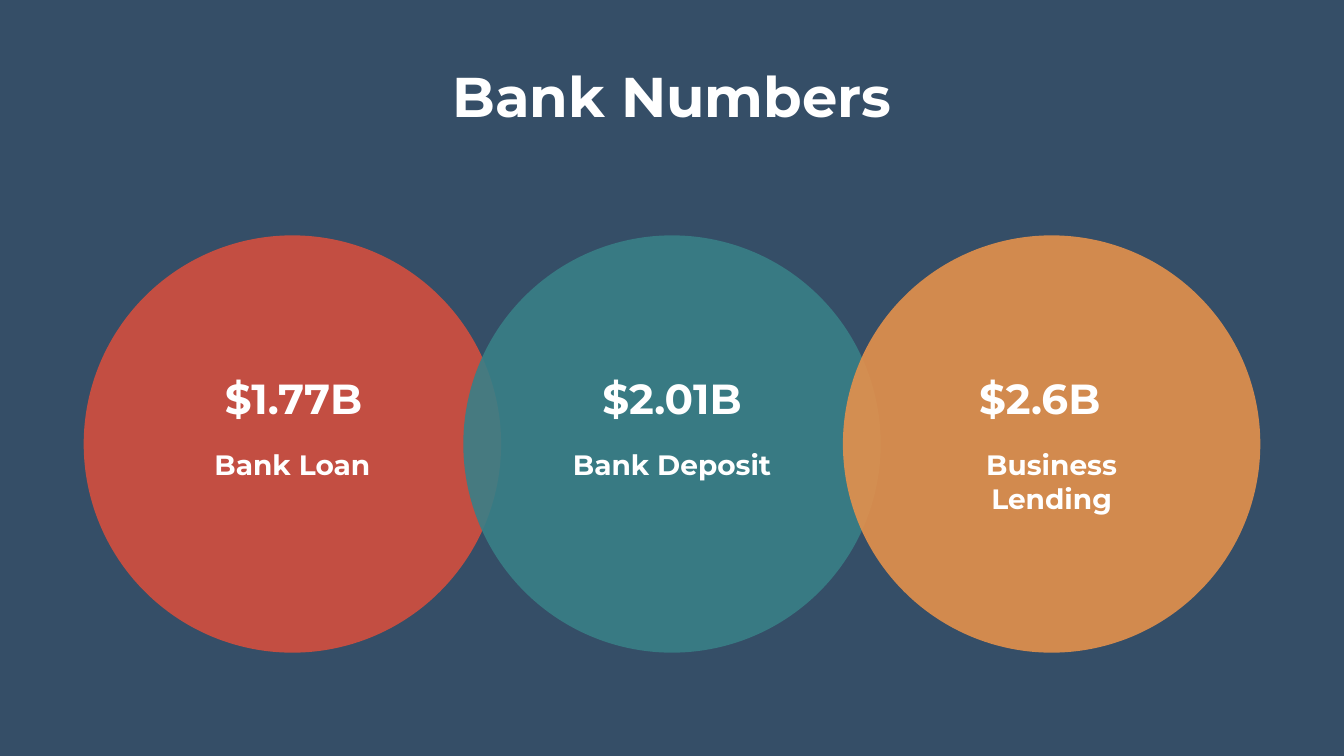
from lxml import etree
from pptx import Presentation
from pptx.dml.color import RGBColor
from pptx.enum.shapes import MSO_SHAPE as SHAPE
from pptx.enum.text import MSO_AUTO_SIZE as AUTO_SIZE, PP_ALIGN as ALIGN
from pptx.oxml.ns import qn
from pptx.util import Inches, Pt

COLORS = {
    "navy": "354E67",
    "red": "D34F3E",
    "teal": "397F87",
    "orange": "E4914C",
    "white": "FFFFFF",
}
FONT = "Montserrat"
SLIDE_W, SLIDE_H = 26.66, 15
DIAMETER, CIRCLE_TOP, PITCH = 8.28, 4.67, 7.53
LABEL_W = 4.77
FIGURES = [
    ("$1.77B", "Bank Loan", "red", 4.22, 3.21),
    ("$2.01B", "Bank Deposit", "teal", 11.23, 4.2),
    ("$2.6B", "Business Lending", "orange", 18.76, 3.73),
]


def add_filled(slide, kind, x, y, w, h, color, opacity=100):
    """Add a borderless preset shape with a solid fill of the given opacity."""
    s = slide.shapes.add_shape(kind, Inches(x), Inches(y), Inches(w), Inches(h))
    s.shadow.inherit = False
    s.line.fill.background()
    s.fill.solid()
    s.fill.fore_color.rgb = RGBColor.from_string(COLORS[color])
    if opacity < 100:
        clr = s.fill._xPr.find(qn("a:solidFill"))[0]
        etree.SubElement(clr, qn("a:alpha")).set("val", str(opacity * 1000))
    return s


def add_text(slide, text, x, y, w, h, size=40, color="white", bold=True, align=ALIGN.CENTER):
    """Add a wrapped text box holding one formatted paragraph."""
    s = slide.shapes.add_textbox(Inches(x), Inches(y), Inches(w), Inches(h))
    tf = s.text_frame
    tf.word_wrap = True
    tf.auto_size = AUTO_SIZE.SHAPE_TO_FIT_TEXT
    p = tf.paragraphs[0]
    p.alignment = align
    r = p.add_run()
    r.text = text
    r.font.name = FONT
    r.font.size = Pt(size)
    r.font.bold = bold
    r.font.color.rgb = RGBColor.from_string(COLORS[color])
    return s


def main():
    """Build the slide of three overlapping circles with bank figures."""
    prs = Presentation()
    prs.slide_width, prs.slide_height = Inches(SLIDE_W), Inches(SLIDE_H)
    slide = prs.slides.add_slide(prs.slide_layouts[6])

    add_filled(slide, SHAPE.RECTANGLE, 0, 0, SLIDE_W, SLIDE_H, "navy")
    centers = [SLIDE_W / 2 + (i - 1) * PITCH for i in range(len(FIGURES))]
    for center, (_, _, color, _, _) in zip(centers, FIGURES):
        add_filled(slide, SHAPE.OVAL, center - DIAMETER / 2, CIRCLE_TOP,
                   DIAMETER, DIAMETER, color, opacity=90)
    for center, (value, label, _, value_x, value_w) in zip(centers, FIGURES):
        add_text(slide, value, value_x, 7.35, value_w, 1.11, size=60)
        add_text(slide, label, center - LABEL_W / 2, 8.83, LABEL_W, 0.77)
    add_text(slide, "Bank Numbers", 2.46, 1.18, 21.74, 1.45, size=80)

    prs.save("out.pptx")


if __name__ == "__main__":
    main()
